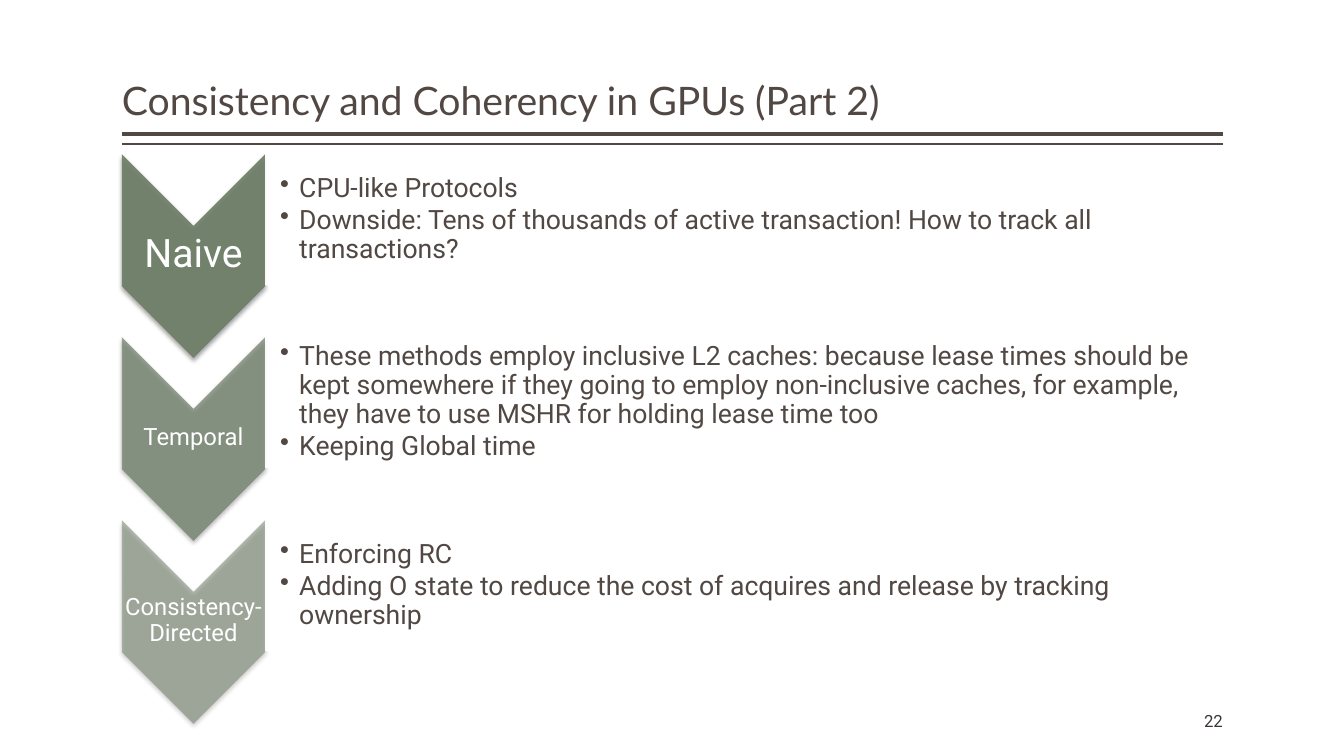
from lxml import etree
from pptx import Presentation
from pptx.dml.color import RGBColor
from pptx.enum.shapes import MSO_CONNECTOR, MSO_SHAPE
from pptx.enum.text import MSO_ANCHOR, PP_ALIGN
from pptx.oxml import parse_xml
from pptx.oxml.ns import nsdecls, qn
from pptx.util import Cm, Pt

STRAIGHT = MSO_CONNECTOR.STRAIGHT
CHEVRON, PANEL = MSO_SHAPE.CHEVRON, MSO_SHAPE.ROUND_2_SAME_RECTANGLE
MIDDLE, BOTTOM = MSO_ANCHOR.MIDDLE, MSO_ANCHOR.BOTTOM
LEFT, CENTER, RIGHT = PP_ALIGN.LEFT, PP_ALIGN.CENTER, PP_ALIGN.RIGHT
BROWN = RGBColor(0x51, 0x48, 0x43)
DARK_BROWN = RGBColor(0x3D, 0x36, 0x32)
GREEN = RGBColor(0x6D, 0x7D, 0x66)
WHITE = RGBColor(0xFF, 0xFF, 0xFF)

LEFT_EDGE, RIGHT_EDGE = 3.07, 30.81
ROW_PITCH = 4.61
BULLET_INDENT = Cm(0.48)
SHADOW = (
    f'<a:effectLst {nsdecls("a")}>'
    '<a:outerShdw blurRad="39400" dist="25400" dir="5400000" rotWithShape="0">'
    '<a:srgbClr val="000000"><a:alpha val="38000"/></a:srgbClr>'
    '</a:outerShdw></a:effectLst>'
)

STAGES = [
    ("Naive", 28, 90, [
        "CPU-like Protocols",
        "Downside: Tens of thousands of active transaction! How to track all transactions?",
    ]),
    ("Temporal", 17, 70, [
        "These methods employ inclusive L2 caches: because lease times should be kept "
        "somewhere if they going to employ non-inclusive caches, for example, they have "
        "to use MSHR for holding lease time too",
        "Keeping Global time",
    ]),
    ("Consistency-Directed", 17, 50, [
        "Enforcing RC",
        "Adding O state to reduce the cost of acquires and release by tracking ownership",
    ]),
]


def add_text(box, lines, size, color=BROWN, font="Roboto", align=LEFT, anchor=MIDDLE,
             margins=(0.03, 0.03, 0.03, 0.03), line_spacing=0.9, bullets=False):
    """Add a text box; box is left, top, width, height and margins left, top, right, bottom."""
    frame = slide.shapes.add_textbox(*map(Cm, box)).text_frame
    frame.word_wrap = True
    frame.vertical_anchor = anchor
    (frame.margin_left, frame.margin_top,
     frame.margin_right, frame.margin_bottom) = map(Cm, margins)
    for index, line in enumerate(lines):
        paragraph = frame.add_paragraph() if index else frame.paragraphs[0]
        paragraph.alignment = align
        paragraph.line_spacing = line_spacing
        run = paragraph.add_run()
        run.text = line
        run.font.name = font
        run.font.size = Pt(size)
        run.font.color.rgb = color
        if bullets:
            paragraph.space_after = Pt(2.5)
            properties = paragraph._p.get_or_add_pPr()
            properties.set("marL", str(BULLET_INDENT))
            properties.set("indent", str(-BULLET_INDENT))
            etree.SubElement(properties, qn("a:buChar")).set("char", "•")


def add_rotated_shape(kind, box, color, opacity):
    shape = slide.shapes.add_shape(kind, *map(Cm, box))
    shape.rotation = 90
    shape.shadow.inherit = False
    shape.fill.solid()
    shape.fill.fore_color.rgb = color
    shape.line.fill.background()
    color_element = shape._element.spPr.find(qn("a:solidFill"))[0]
    etree.SubElement(color_element, qn("a:alpha")).set("val", str(opacity * 1000))
    return shape


presentation = Presentation()
presentation.slide_width = Cm(33.86)
presentation.slide_height = Cm(19.05)
slide = presentation.slides.add_slide(presentation.slide_layouts[6])

for y, weight in [(3.38, 3), (3.63, 1)]:
    rule = slide.shapes.add_connector(STRAIGHT, Cm(LEFT_EDGE), Cm(y), Cm(RIGHT_EDGE), Cm(y))
    rule.line.color.rgb = BROWN
    rule.line.width = Pt(weight)
    etree.SubElement(rule._element.spPr, qn("a:effectLst"))

add_text((LEFT_EDGE, 0.2, 27.74, 3.05), ["Consistency and Coherency in GPUs (Part 2)"], 28,
         font="Lato", anchor=BOTTOM, margins=(0, 0.13, 0, 0.13))

for row, (name, name_size, opacity, points) in enumerate(STAGES):
    offset = row * ROW_PITCH
    chevron = add_rotated_shape(CHEVRON, (2.31, 4.65 + offset, 5.13, 3.61), GREEN, opacity)
    properties = chevron._element.spPr
    properties.replace(properties.find(qn("a:effectLst")), parse_xml(SHADOW))
    add_text((LEFT_EDGE, 5.65 + offset, 3.61, 1.55), [name], name_size, WHITE, align=CENTER)
    add_rotated_shape(PANEL, (17.07, -6.55 + offset, 3.35, 24.13), WHITE, 90)
    add_text((6.68, 4.01 + offset, 23.98, 3.02), points, 19,
             margins=(0.38, 0.03, 0.03, 0.03), bullets=True)

add_text((25.73, 17.65, 5.08, 1.02), ["22"], 12, DARK_BROWN, align=RIGHT,
         margins=(0, 0.13, 0, 0.13), line_spacing=1.0)

presentation.save("out.pptx")
